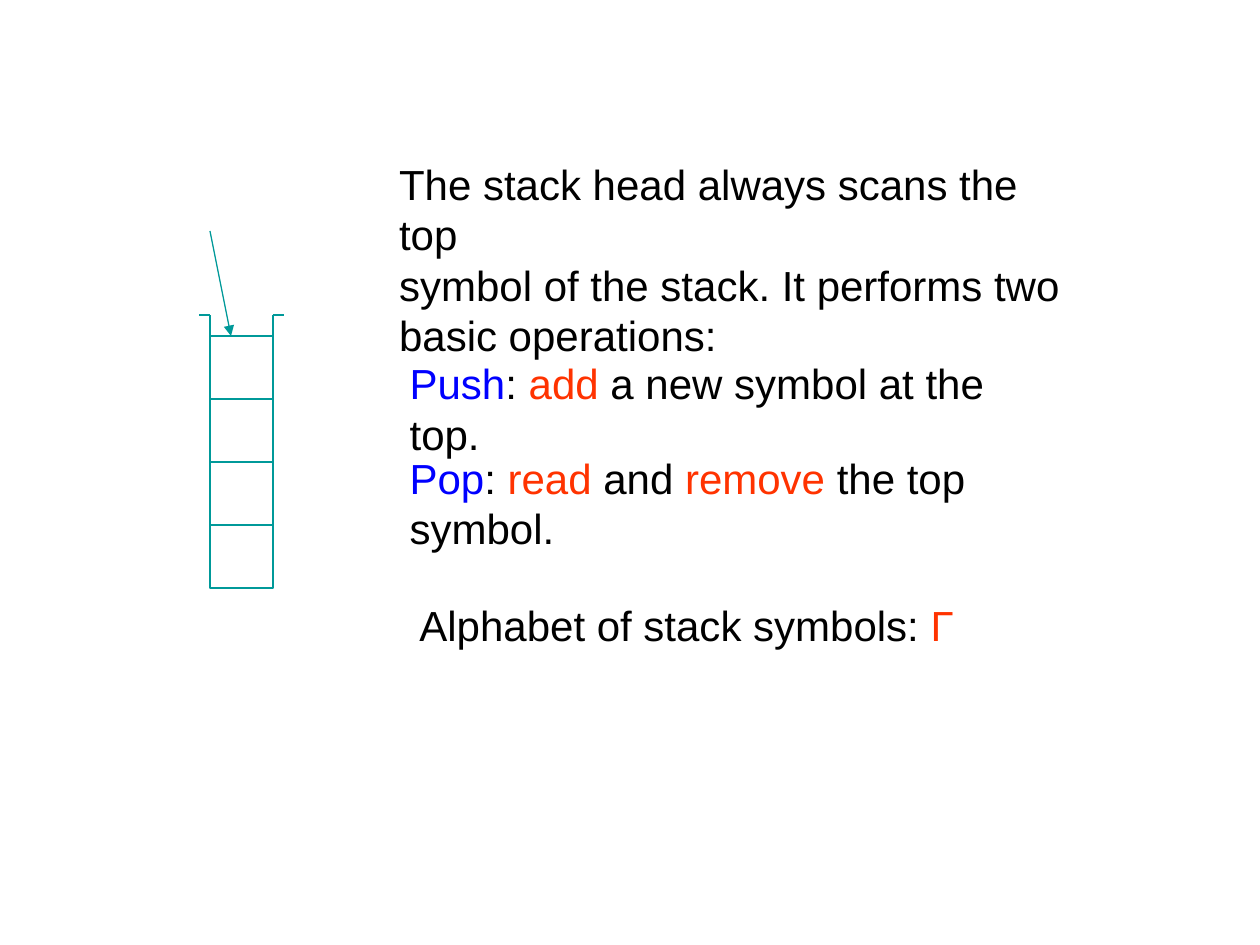
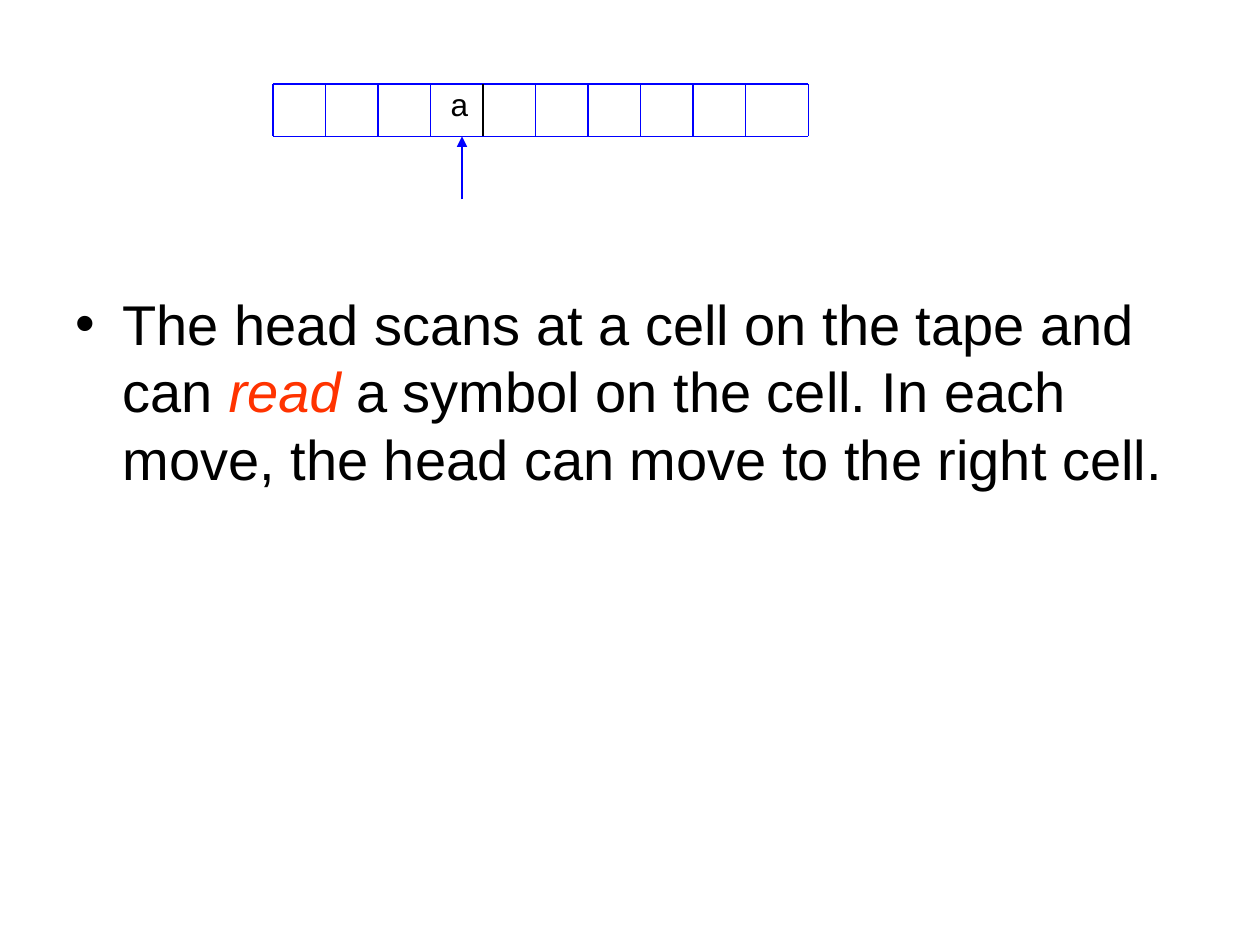
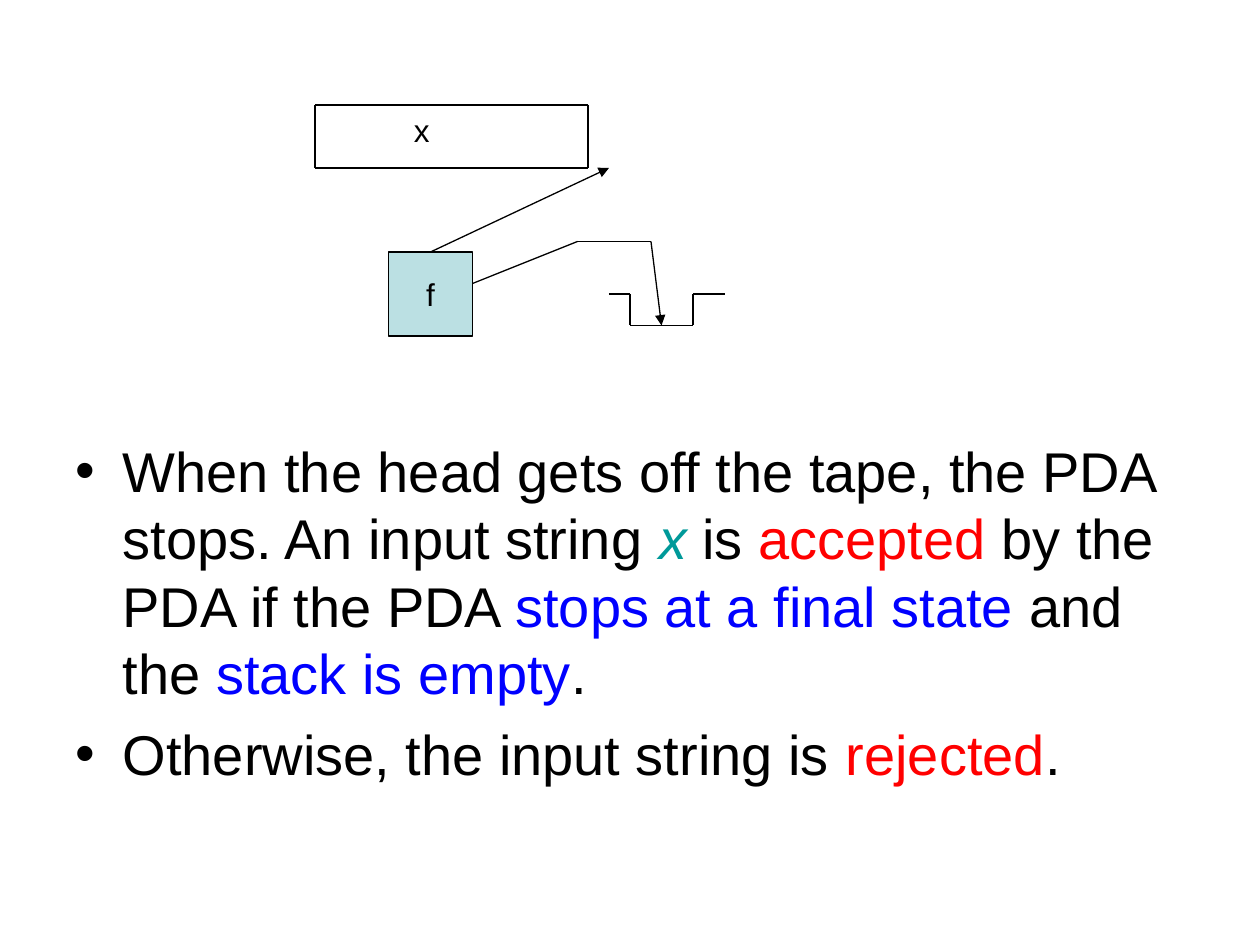
from dataclasses import dataclass
from itertools import pairwise

from lxml.etree import SubElement
from pptx import Presentation
from pptx.dml.color import RGBColor
from pptx.enum.shapes import MSO_CONNECTOR, MSO_SHAPE
from pptx.enum.text import MSO_ANCHOR, MSO_AUTO_SIZE, PP_ALIGN
from pptx.oxml.ns import qn
from pptx.util import Pt


@dataclass(frozen=True)
class Theme:
    font: str = "Arial"
    black: RGBColor = RGBColor(0x00, 0x00, 0x00)
    blue: RGBColor = RGBColor(0x00, 0x00, 0xFF)
    teal: RGBColor = RGBColor(0x00, 0x99, 0x99)
    orange: RGBColor = RGBColor(0xFF, 0x33, 0x00)
    red: RGBColor = RGBColor(0xFF, 0x00, 0x00)
    state_fill: RGBColor = RGBColor(0xBB, 0xE0, 0xE3)
    body_size: int = 32
    note_size: int = 24
    label_size: int = 18
    line_width: float = 0.75
    bullet_indent: int = 27
    bullet_gap: int = 8


THEME = Theme()


@dataclass(frozen=True)
class Box:
    left: float
    top: float
    width: float
    height: float

    def lengths(self):
        return [Pt(v) for v in (self.left, self.top, self.width, self.height)]

    def at(self, x, y):
        return self.left + x, self.top + y


def apply(target, formats):
    for name, value in formats.items():
        setattr(target, name, value)


def add_line(slide, start, end, color, arrow=False):
    line = slide.shapes.add_connector(
        MSO_CONNECTOR.STRAIGHT, *[Pt(v) for v in (*start, *end)])
    line.line.color.rgb = color
    line.line.width = Pt(THEME.line_width)
    if arrow:
        SubElement(line.line._get_or_add_ln(), qn("a:tailEnd"), type="triangle")
    SubElement(line._element.spPr, qn("a:effectLst"))
    return line


def add_polyline(slide, points, color, arrow=False):
    """Draw connected segments; only the last one may carry an arrowhead."""
    last = len(points) - 2
    for i, (start, end) in enumerate(pairwise(points)):
        add_line(slide, start, end, color, arrow and i == last)


def add_rectangle(slide, box, color, fill=None):
    rectangle = slide.shapes.add_shape(MSO_SHAPE.RECTANGLE, *box.lengths())
    rectangle.shadow.inherit = False
    rectangle.line.color.rgb = color
    rectangle.line.width = Pt(THEME.line_width)
    if fill is None:
        rectangle.fill.background()
    else:
        rectangle.fill.solid()
        rectangle.fill.fore_color.rgb = fill
    return rectangle


def fill_paragraph(paragraph, runs, size):
    """Each run is (text), (text, color) or (text, color, italic)."""
    for text, color, italic in ((*run, THEME.black, False)[:3] if len(run) == 1
                                else (*run, False)[:3] for run in runs):
        run = paragraph.add_run()
        run.text = text
        apply(run.font, {"name": THEME.font, "size": Pt(size), "italic": italic})
        run.font.color.rgb = color


def add_text(slide, box, paragraphs, size, wrap=False, fit=True):
    frame = slide.shapes.add_textbox(*box.lengths()).text_frame
    apply(frame, {
        "word_wrap": wrap,
        "auto_size": MSO_AUTO_SIZE.SHAPE_TO_FIT_TEXT if fit else MSO_AUTO_SIZE.NONE,
    })
    for i, runs in enumerate(paragraphs):
        paragraph = frame.add_paragraph() if i else frame.paragraphs[0]
        fill_paragraph(paragraph, runs, size)
    return frame


def add_bullets(slide, box, paragraphs):
    frame = add_text(slide, box, paragraphs, THEME.body_size, wrap=True, fit=False)
    indent = Pt(THEME.bullet_indent)
    for paragraph in frame.paragraphs:
        paragraph.space_before = Pt(THEME.bullet_gap)
        properties = paragraph._p.get_or_add_pPr()
        properties.set("marL", str(indent))
        properties.set("indent", str(-indent))
        bullet_color = SubElement(properties, qn("a:buClr"))
        SubElement(bullet_color, qn("a:srgbClr"), val=str(THEME.black))
        SubElement(properties, qn("a:buFont"), typeface=THEME.font)
        SubElement(properties, qn("a:buChar"), char="•")


def draw_filled_stack(slide, box, cells=4):
    color, rim, lip = THEME.teal, 12, 6
    stack = add_rectangle(slide, box, color)
    for i in range(1, cells):
        y = i * box.height / cells
        divider = add_line(slide, box.at(0, y), box.at(box.width, y), color)
        if 2 * i == cells:
            divider.begin_connect(stack, 1)
            divider.end_connect(stack, 3)
    for x, outward in ((0, -lip), (box.width, lip)):
        add_polyline(slide, [box.at(x, 0), box.at(x, -rim),
                             box.at(x + outward, -rim)], color)
    add_line(slide, box.at(0, -60), box.at(12, 0), color, arrow=True)


def draw_empty_stack(slide, box):
    """Draw the open outline, with lips of 12 and 18 points beside the box."""
    right, bottom = box.width, box.height
    add_polyline(slide, [box.at(-12, 0), box.at(0, 0), box.at(0, bottom),
                         box.at(right, bottom), box.at(right, 0),
                         box.at(right + 18, 0)], THEME.black)


def draw_tape(slide, box, color, edges, edge_colors=None):
    """Draw top and bottom lines, and an upright line at each edge offset."""
    for y in (0, box.height):
        add_line(slide, box.at(0, y), box.at(box.width, y), color)
    for i, x in enumerate(edges):
        add_line(slide, box.at(x, 0), box.at(x, box.height),
                 (edge_colors or {}).get(i, color))


def draw_scanned_tape(slide, box, cell=30):
    edges = [*(i * cell for i in range(10)), box.width]
    draw_tape(slide, box, THEME.blue, edges, {4: THEME.black})
    add_line(slide, box.at(108, box.height + 36), box.at(108, box.height),
             THEME.blue, arrow=True)
    add_text(slide, Box(*box.at(94.5, -3.2), 24.5, 29), [[("a",)]],
             THEME.label_size)


def draw_automaton(slide, box):
    """Draw a machine in state f whose head has left the tape."""
    tape = Box(*box.at(0, 0), 156, 36)
    draw_tape(slide, tape, THEME.black, (0, tape.width))
    add_text(slide, Box(*tape.at(49.5, 0), 16.5, 29), [[("x",)]],
             THEME.label_size, wrap=True)

    state_box = Box(*box.at(42, 84), 48, 48)
    state = add_rectangle(slide, state_box, THEME.black, THEME.state_fill)
    apply(state.text_frame, {"word_wrap": False,
                             "vertical_anchor": MSO_ANCHOR.MIDDLE})
    label = state.text_frame.paragraphs[0]
    label.alignment = PP_ALIGN.CENTER
    fill_paragraph(label, [("f",)], THEME.label_size)

    draw_empty_stack(slide, Box(*box.at(180, 108), 36, 18))
    add_polyline(slide, [state_box.at(48, 18), box.at(150, 78),
                         box.at(192, 78), box.at(198, 126)],
                 THEME.black, arrow=True)
    tape_head = add_line(slide, state_box.at(24, 0), box.at(168, 36),
                         THEME.black, arrow=True)
    tape_head.begin_connect(state, 0)


def build_stack_operations(slide):
    draw_filled_stack(slide, Box(120, 192, 36, 144))
    blue, orange = THEME.blue, THEME.orange
    notes = [
        (Box(221, 87, 407.5, 94), [
            [("The stack head always scans the top",)],
            [("symbol of the stack. It performs two",)],
            [("basic operations:",)]]),
        (Box(227, 201, 389, 36), [
            [("Push", blue), (": ",), ("add", orange),
             (" a new symbol at the top.",)]]),
        (Box(227, 255, 421, 36), [
            [("Pop", blue), (": ",), ("read", orange), (" and ",),
             ("remove", orange), (" the top symbol.",)]]),
        (Box(232.6, 339, 319.7, 36), [
            [("Alphabet of stack symbols: ",), ("Γ", orange)]]),
    ]
    for box, paragraphs in notes:
        add_text(slide, box, paragraphs, THEME.note_size)


def build_tape_head(slide):
    add_bullets(slide, Box(36, 162, 648, 320), [
        [("The head scans at a cell on the tape and can ",),
         ("read", THEME.orange, True),
         (" a symbol on the cell. In each move, the head can move to the"
          " right cell.",)]])
    draw_scanned_tape(slide, Box(156, 48, 306, 30))


def build_acceptance(slide):
    add_bullets(slide, Box(36, 246, 666, 236), [
        [("When the head gets off the tape, the PDA stops. An input string ",),
         ("x", THEME.teal, True), (" is ",), ("accepted", THEME.red),
         (" by the PDA if the PDA ",), ("stops at a final state", THEME.blue),
         (" and the ",), ("stack is empty", THEME.blue), (".",)],
        [("Otherwise, the input string is ",), ("rejected", THEME.red), (".",)]])
    draw_automaton(slide, Box(180, 60, 234, 132))


def main():
    deck = Presentation()
    apply(deck, {"slide_width": Pt(720), "slide_height": Pt(540)})
    blank = deck.slide_layouts[6]
    for build in (build_stack_operations, build_tape_head, build_acceptance):
        build(deck.slides.add_slide(blank))
    deck.save("out.pptx")


if __name__ == "__main__":
    main()
